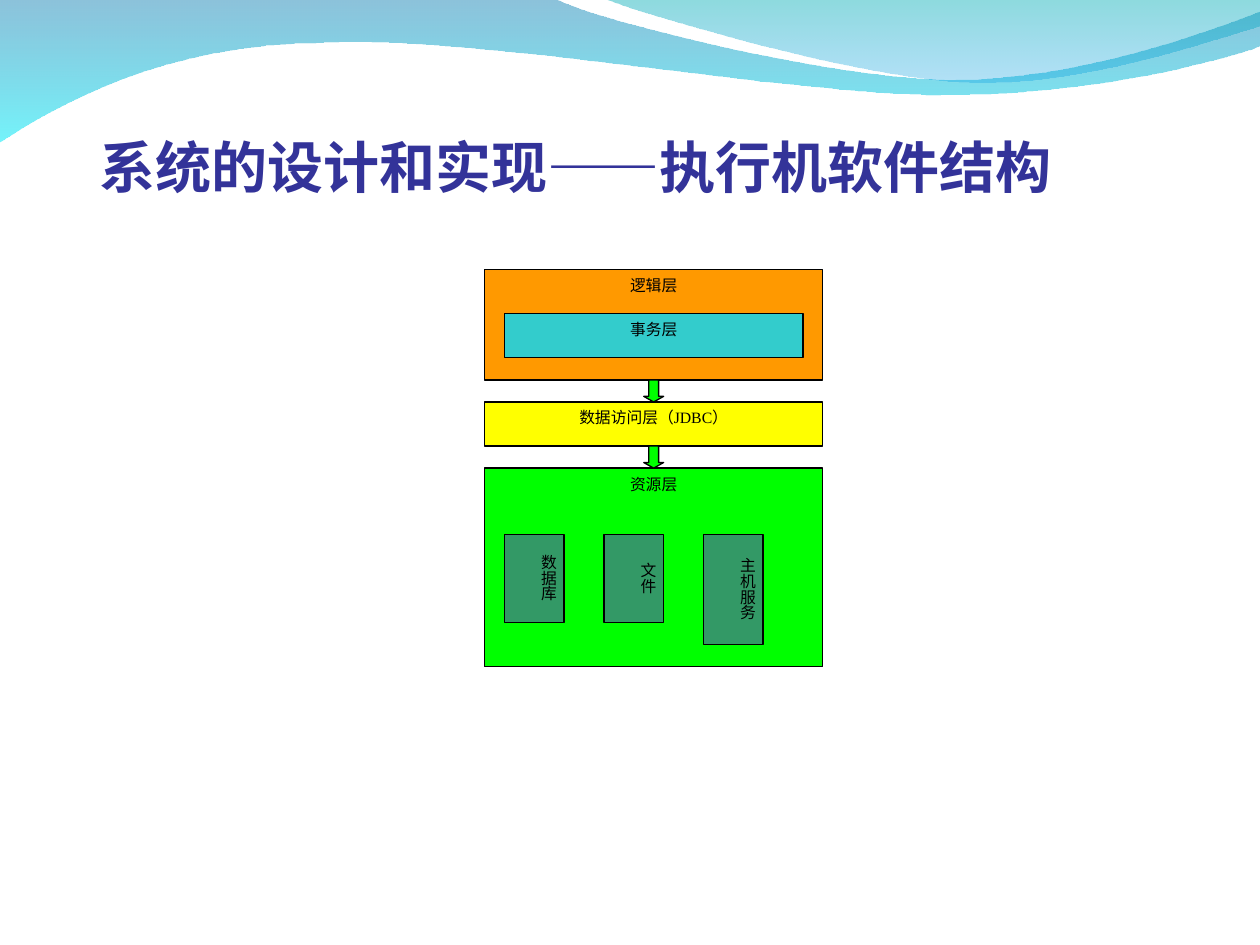
from itertools import islice

from pptx import Presentation
from pptx.dml.color import RGBColor
from pptx.enum.shapes import MSO_SHAPE
from pptx.enum.text import MSO_ANCHOR, PP_ALIGN
from pptx.oxml.ns import qn
from pptx.oxml.xmlchemy import OxmlElement
from pptx.util import Inches, Pt

RECT, ARROW = MSO_SHAPE.RECTANGLE, MSO_SHAPE.DOWN_ARROW
TOP, BOTTOM = MSO_ANCHOR.TOP, MSO_ANCHOR.BOTTOM
LEFT, CENTER = PP_ALIGN.LEFT, PP_ALIGN.CENTER
TITLE_ONLY = 5
COLORS = {
    "title": "333399", "ink": "000000", "logic": "FF9900",
    "business": "33CCCC", "access": "FFFF00", "resource": "00FF00",
    "store": "339966", "deep": "0079AF", "cyan": "00EBF8",
    "teal": "00ADB6", "sky": "009BE5",
}
TITLE_FONT = {"name": "Noto Sans CJK SC", "size": Pt(32), "bold": True}
LABEL_FONT = {"name": "Times New Roman", "size": Pt(9), "bold": False}
SIDES = ("margin_left", "margin_top", "margin_right", "margin_bottom")

# Waves in hundredths of the slide width: a single pair is a corner,
# three pairs are a Bezier curve.
BACK_WAVE = [
    [(0, -0.1)], [(44, -0.1)],
    [(47.6, 1.7), (66.4, 6.3), (75.8, 6.3)],
    [(85.3, 6.3), (95.8, 2.6), (100, 0.9)],
    [(100.1, 3.6)],
    [(98.3, 4.4), (87, 7.6), (74.6, 7.5)],
    [(62.2, 7.5), (38.2, 2.8), (25.7, 3.4)],
    [(12.9, 3.5), (4.6, 8.3), (-0.1, 11.3)],
]
FRONT_WAVE = [
    [(47.9, -0.1)],
    [(50.9, 1.1), (68.2, 6.2), (76.9, 6.5)],
    [(85.6, 6.9), (96.1, 3.2), (100, 2.1)],
    [(100, 0)],
]
# Column, row, width and height on the diagram grid
BOXES = [
    ("逻辑层", "logic", (0, 0, 17, 5)),
    ("事务层", "business", (1, 2, 15, 2)),
    ("数据访问层（JDBC）", "access", (0, 6, 17, 2)),
    ("资源层", "resource", (0, 9, 17, 9)),
]
STORES = [("数据库", 4), ("文件", 4), ("主机服务", 5)]
ARROW_ROWS = (5, 8)


class Deck:
    def __init__(self):
        self.prs = Presentation()
        self.prs.slide_width, self.prs.slide_height = Inches(10), Inches(7.5)
        self.unit = self.prs.slide_width / 100
        self.slide = self.prs.slides.add_slide(self.prs.slide_layouts[TITLE_ONLY])
        self.diagram = None

    def rgb(self, color):
        return RGBColor.from_string(COLORS[color])

    def lengths(self, shares):
        return [round(n * self.unit) for n in shares]

    def cells(self, col, row, width, height):
        """Map diagram cells to slide lengths."""
        left, top, cell_w, cell_h = 38.45, 21.4, 1.58, 1.75
        return self.lengths((left + col * cell_w, top + row * cell_h,
                             width * cell_w, height * cell_h))

    def text(self, sp, text, font, color, align, anchor, margins):
        tf = sp.text_frame
        tf.word_wrap, tf.vertical_anchor = True, anchor
        for side, margin in zip(SIDES, margins):
            setattr(tf, side, Inches(margin))
        p = tf.paragraphs[0]
        p.alignment = align
        r = p.add_run()
        r.text = text
        for name, value in font.items():
            setattr(r.font, name, value)
        r.font.color.rgb = self.rgb(color)
        return r

    def curve(self, sp, outline):
        """Join the lines of each three-point part into one Bezier curve."""
        lines = iter(list(sp._element.iter(qn("a:lnTo"))))
        for part in outline[1:]:
            group = list(islice(lines, len(part)))
            if len(group) == 1:
                continue
            bezier = OxmlElement("a:cubicBezTo")
            group[0].addprevious(bezier)
            for line in group:
                bezier.append(line[0])
                line.getparent().remove(line)

    def wave(self, outline, *stops):
        """Draw a vertical gradient wave; each stop is a colour and its opacity."""
        points = [self.lengths(point) for part in outline for point in part]
        builder = self.slide.shapes.build_freeform(*points[0])
        builder.add_line_segments(points[1:], close=True)
        sp = builder.convert_to_shape()
        self.curve(sp, outline)
        sp.shadow.inherit = False
        sp.line.fill.background()
        sp.fill.gradient()
        sp.fill.gradient_angle = 270
        for stop, (color, _) in zip(sp.fill.gradient_stops, stops):
            stop.color.rgb = self.rgb(color)
        colors = sp._element.spPr.iter(qn("a:srgbClr"))
        for element, (_, opacity) in zip(colors, stops):
            alpha = OxmlElement("a:alpha")
            alpha.set("val", str(opacity * 1000))
            element.append(alpha)

    def title(self, text):
        sp = self.slide.shapes.title
        sp.left, sp.top, sp.width, sp.height = self.lengths((7.9, 8.45, 90, 7.4))
        r = self.text(sp, text, TITLE_FONT, "title", LEFT, BOTTOM, (0, 0.05, 0, 0))
        ea = OxmlElement("a:ea")
        ea.set("typeface", TITLE_FONT["name"])
        r.font._element.find(qn("a:latin")).addnext(ea)
        self.slide.shapes._spTree.append(sp._element)  # in front of the waves

    def start_diagram(self):
        self.diagram = self.slide.shapes.add_group_shape()

    def shape(self, kind, color, cells):
        sp = self.diagram.shapes.add_shape(kind, *self.cells(*cells))
        sp.shadow.inherit = False
        sp.fill.solid()
        sp.fill.fore_color.rgb = self.rgb(color)
        sp.line.color.rgb = self.rgb("ink")
        sp.line.width = Pt(0.75)
        return sp

    def box(self, text, color, cells, vertical=False):
        sp = self.shape(RECT, color, cells)
        margins = (0.05, 0.1) * 2 if vertical else (0.1, 0.05) * 2
        self.text(sp, text, LABEL_FONT, "ink", CENTER, TOP, margins)
        if vertical:
            body = sp.text_frame._txBody.bodyPr
            body.set("vert", "eaVert")
            body.set("anchorCtr", "1")

    def arrow(self, row):
        sp = self.shape(ARROW, "resource", (8, row, 1, 1))
        sp.adjustments[0], sp.adjustments[1] = 0.5, 0.28


def main():
    deck = Deck()
    deck.wave(BACK_WAVE, ("deep", 45), ("cyan", 55))
    deck.wave(FRONT_WAVE, ("teal", 45), ("sky", 30))
    deck.title("系统的设计和实现——执行机软件结构")
    deck.start_diagram()
    for text, color, cells in BOXES:
        deck.box(text, color, cells)
    for i, (text, height) in enumerate(STORES):
        deck.box(text, "store", (1 + 5 * i, 12, 3, height), vertical=True)
    for row in ARROW_ROWS:
        deck.arrow(row)
    deck.prs.save("out.pptx")


if __name__ == "__main__":
    main()
